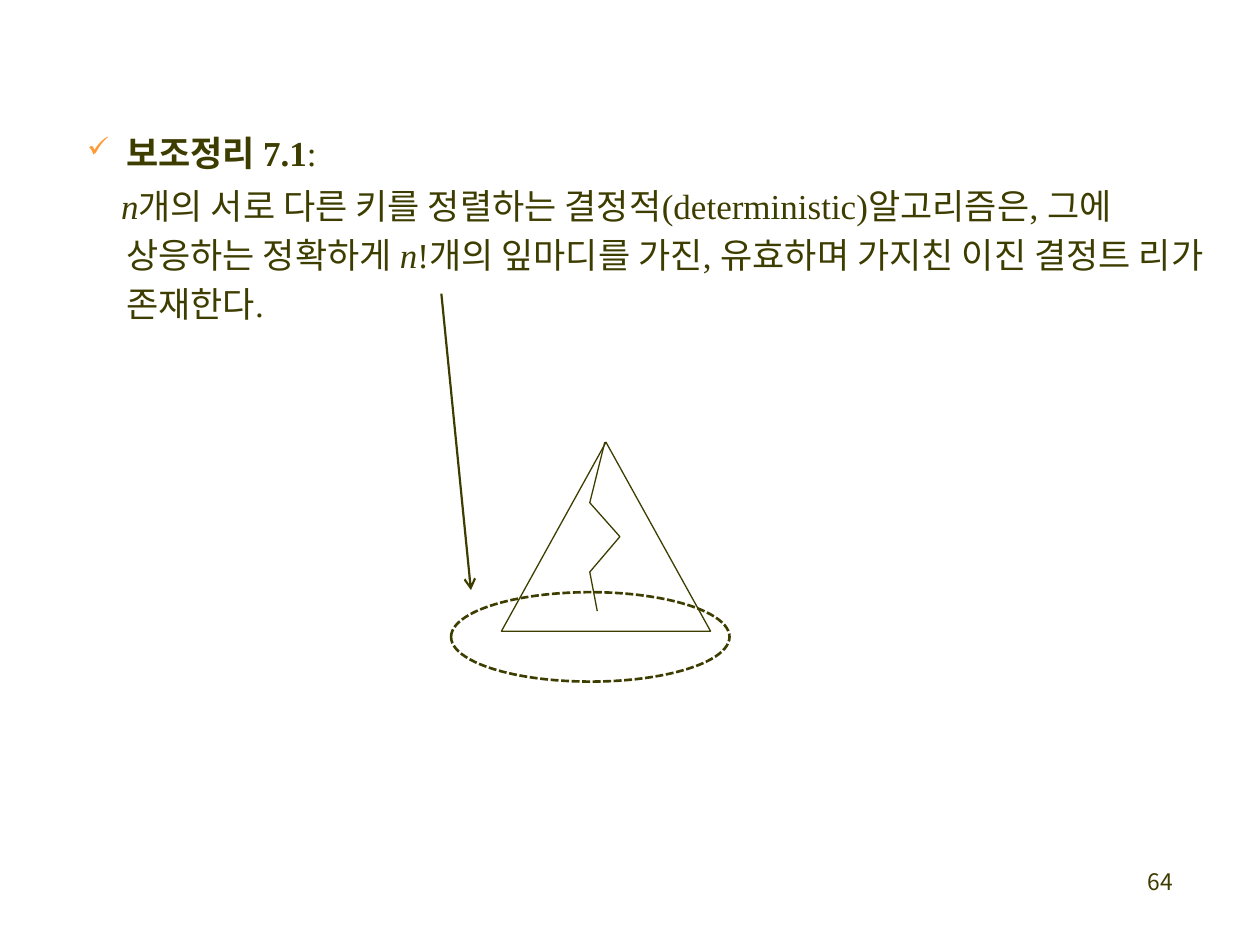
"""Build the slide on Lemma 7.1: a decision tree with n! leaves."""
import pptx
import pptx.util
import pptx.dml.color
import pptx.enum.dml
import pptx.enum.shapes
import pptx.enum.text
import pptx.oxml.ns
from lxml import etree

Pt = pptx.util.Pt
SHAPE = pptx.enum.shapes.MSO_SHAPE


class Theme:
    ink = pptx.dml.color.RGBColor.from_string("3E3D00")
    bullet = "FF9933"
    hangul = "Noto Sans CJK KR"
    latin = "Times New Roman"
    body, number = 20, 13
    thin, arrow, dashed = 0.75, 1.25, 1.5


KO, EN = Theme.hangul, Theme.latin
HEADING = [("보조정리 ", KO, "b"), ("7.1", EN, "b"), (":", EN, "")]
STATEMENT = [
    ("n", EN, "i"),
    ("개의 서로 다른 키를 정렬하는 결정적", KO, ""),
    ("(deterministic)", EN, ""),
    ("알고리즘은", KO, ""),
    (", ", EN, ""),
    ("그에 상응하는 정확하게 ", KO, ""),
    ("n", EN, "i"),
    ("!", EN, ""),
    ("개의 잎마디를 가진", KO, ""),
    (", ", EN, ""),
    ("유효하며 가지친 이진 결정트 리가 존재한다", KO, ""),
    (".", EN, ""),
]
LEMMA_BOX = (48.24, 67.68, 646.56, 118.8)
NUMBER_BOX = (653.04, 496.8, 20.88, 15.12)
TREE = (286.56, 252.72, 119.52, 108)
LEAVES = (257.76, 338.4, 159.12, 51.12)
PATH = [(345.6, 252.72), (337, 287.3), (354.2, 306.7), (337, 326.9), (341.3, 349.2)]
ARROW = (252.2, 167.8, 269.1, 337.2)


def sub(parent, tag, **attrs):
    return etree.SubElement(parent, pptx.oxml.ns.qn(tag), attrs)


def add_text(p, text, font=KO, style="", size=Theme.body):
    r = p.add_run()
    r.text = text
    r.font.size = Pt(size)
    r.font.bold = "b" in style
    r.font.italic = "i" in style
    r.font.color.rgb = Theme.ink
    r.font.name = font
    sub(r.font._element, "a:ea", typeface=font)


def add_box(s, box, top=0):
    tf = s.shapes.add_textbox(*map(Pt, box)).text_frame
    tf.word_wrap = True
    tf.margin_left = tf.margin_right = tf.margin_bottom = 0
    tf.margin_top = Pt(top)
    return tf


def set_indent(p, margin, first=0):
    pPr = p._p.get_or_add_pPr()
    pPr.set("marL", str(Pt(margin)))
    pPr.set("indent", str(Pt(first)))
    return pPr


def add_lemma(s):
    tf = add_box(s, LEMMA_BOX, top=7.2)
    tf.auto_size = pptx.enum.text.MSO_AUTO_SIZE.SHAPE_TO_FIT_TEXT
    p = tf.paragraphs[0]
    pPr = set_indent(p, 23.8, -22.3)
    sub(sub(pPr, "a:buClr"), "a:srgbClr", val=Theme.bullet)
    sub(pPr, "a:buSzPct", val="80000")
    sub(pPr, "a:buChar", char="✓")
    for text, font, style in HEADING:
        add_text(p, text, font=font, style=style)
    p = tf.add_paragraph()
    set_indent(p, 23.8, -2.9)
    p.line_spacing = 1.17
    p.space_before = Pt(2.2)
    for text, font, style in STATEMENT:
        add_text(p, text, font=font, style=style)


def outline(sp, width):
    sp.line.color.rgb = Theme.ink
    sp.line.width = Pt(width)
    return sp


def add_outlined(sp, width):
    sp.shadow.inherit = False
    sp.fill.background()
    return outline(sp, width)


def add_diagram(s):
    shapes = s.shapes.add_group_shape().shapes
    add_outlined(shapes.add_shape(SHAPE.ISOSCELES_TRIANGLE, *map(Pt, TREE)), Theme.thin)
    leaves = add_outlined(shapes.add_shape(SHAPE.OVAL, *map(Pt, LEAVES)), Theme.dashed)
    leaves.line.dash_style = pptx.enum.dml.MSO_LINE.SQUARE_DOT
    points = [(Pt(x), Pt(y)) for x, y in PATH]
    builder = shapes.build_freeform(*points[0])
    builder.add_line_segments(points[1:], close=False)
    add_outlined(builder.convert_to_shape(), Theme.thin)
    straight = pptx.enum.shapes.MSO_CONNECTOR.STRAIGHT
    arrow = outline(shapes.add_connector(straight, *map(Pt, ARROW)), Theme.arrow)
    sub(arrow.line._get_or_add_ln(), "a:tailEnd", type="arrow")
    sub(arrow._element.spPr, "a:effectLst")


def add_number(s):
    p = add_box(s, NUMBER_BOX).paragraphs[0]
    set_indent(p, 2.9)
    p.line_spacing = Pt(14.7)
    add_text(p, "64", size=Theme.number)


def main():
    prs = pptx.Presentation()
    prs.slide_width, prs.slide_height = Pt(720), Pt(540)
    s = prs.slides.add_slide(prs.slide_layouts[6])
    add_lemma(s)
    add_diagram(s)
    add_number(s)
    prs.save("out.pptx")


if __name__ == "__main__":
    main()
